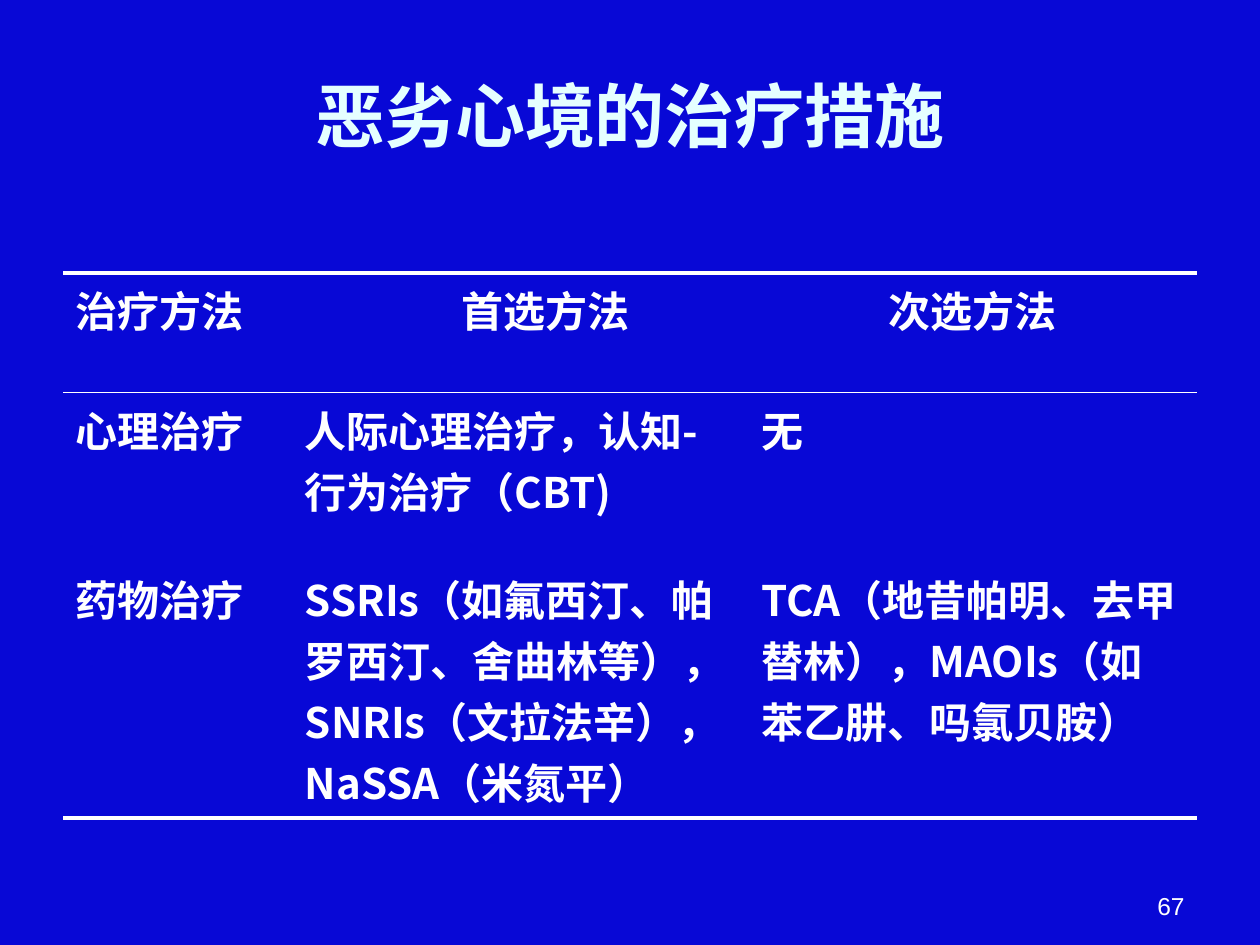
from dataclasses import dataclass

from lxml import etree
from pptx import Presentation
from pptx.dml.color import RGBColor
from pptx.enum.text import MSO_ANCHOR, PP_ALIGN
from pptx.oxml.ns import qn
from pptx.util import Pt

LEFT, CENTER, RIGHT = PP_ALIGN.LEFT, PP_ALIGN.CENTER, PP_ALIGN.RIGHT
MIDDLE, BOTTOM = MSO_ANCHOR.MIDDLE, MSO_ANCHOR.BOTTOM
TITLE_ONLY = 5


@dataclass(frozen=True)
class Theme:
    background: str = "0808D6"
    title: str = "E5FFFF"
    text: str = "FFFFFF"
    body_font: str = "Noto Sans CJK SC"
    number_font: str = "Arial"
    title_size: int = 40
    table_size: int = 24
    number_size: int = 14
    thick: float = 2.25
    thin: float = 1


THEME = Theme()
TITLE = "恶劣心境的治疗措施"
PAGE_NUMBER = "67"
ROWS = [
    ("治疗方法", "首选方法", "次选方法"),
    ("心理治疗", "人际心理治疗，认知-行为治疗（CBT)", "无"),
    (
        "药物治疗",
        "SSRIs（如氟西汀、帕罗西汀、舍曲林等），SNRIs（文拉法辛），NaSSA（米氮平）",
        "TCA（地昔帕明、去甲替林），MAOIs（如苯乙肼、吗氯贝胺）",
    ),
]
TEXT_COLUMNS = [(0, 2, 3), (0, 1, 3), (0, 1, 3)]
MERGES = [(0, 0, 1), (1, 1, 2), (2, 1, 2)]
COLUMN_WIDTHS = [131, 28, 233, 256]
ROW_HEIGHTS = [68.4, 96.5, 122.4]
ROW_RULES = [(THEME.thick, THEME.thin), (THEME.thin, 0), (0, THEME.thick)]
MARGIN = 36
CONTENT_WIDTH = sum(COLUMN_WIDTHS)
TABLE_TOP = 156


def write(frame, text, font_name, size, color, bold, alignment):
    paragraph = frame.paragraphs[0]
    paragraph.text = text
    paragraph.alignment = alignment
    font = paragraph.font
    font.name, font.size, font.bold = font_name, Pt(size), bold
    font.color.rgb = RGBColor.from_string(color)
    properties = paragraph._p.pPr.find(qn("a:defRPr"))
    etree.SubElement(properties, qn("a:ea"), typeface=font_name)
    return paragraph


def set_borders(cell, top, bottom):
    properties = cell._tc.get_or_add_tcPr()
    edges = [("a:lnL", 0), ("a:lnR", 0), ("a:lnT", top), ("a:lnB", bottom)]
    for index, (tag, width) in enumerate(edges):
        line = etree.Element(qn(tag), w=str(Pt(width)))
        if width:
            fill = etree.SubElement(line, qn("a:solidFill"))
            etree.SubElement(fill, qn("a:srgbClr"), val=THEME.text)
        else:
            etree.SubElement(line, qn("a:noFill"))
        properties.insert(index, line)


def add_title(slide):
    title = slide.shapes.title
    title.left, title.top = Pt(MARGIN), Pt(11.5)
    title.width, title.height = Pt(CONTENT_WIDTH), Pt(108)
    title.text_frame.vertical_anchor = MIDDLE
    write(title.text_frame, TITLE, THEME.body_font, THEME.title_size,
          THEME.title, True, CENTER)


def add_treatment_table(slide):
    table = slide.shapes.add_table(
        len(ROWS), len(COLUMN_WIDTHS), Pt(MARGIN), Pt(TABLE_TOP),
        Pt(CONTENT_WIDTH), Pt(sum(ROW_HEIGHTS))).table
    table.first_row = table.horz_banding = False
    for column, width in zip(table.columns, COLUMN_WIDTHS):
        column.width = Pt(width)
    for row, height, rules in zip(table.rows, ROW_HEIGHTS, ROW_RULES):
        row.height = Pt(height)
        for cell in row.cells:
            cell.fill.background()
            set_borders(cell, *rules)
    for row, first, last in MERGES:
        table.cell(row, first).merge(table.cell(row, last))
    for row, (texts, columns) in enumerate(zip(ROWS, TEXT_COLUMNS)):
        for column, text in zip(columns, texts):
            alignment = CENTER if row == 0 and column > 0 else LEFT
            paragraph = write(table.cell(row, column).text_frame, text,
                              THEME.body_font, THEME.table_size,
                              THEME.text, True, alignment)
            spacing = etree.Element(qn("a:spcBef"))
            etree.SubElement(spacing, qn("a:spcPct"), val="20000")
            paragraph._p.pPr.insert(0, spacing)


def add_page_number(slide):
    box = slide.shapes.add_textbox(Pt(516), Pt(492), Pt(168), Pt(37.5))
    box.text_frame.word_wrap = True
    box.text_frame.vertical_anchor = BOTTOM
    write(box.text_frame, PAGE_NUMBER, THEME.number_font, THEME.number_size,
          THEME.text, False, RIGHT)


def main():
    presentation = Presentation()
    presentation.slide_width, presentation.slide_height = Pt(720), Pt(540)
    slide = presentation.slides.add_slide(presentation.slide_layouts[TITLE_ONLY])
    slide.background.fill.solid()
    slide.background.fill.fore_color.rgb = RGBColor.from_string(THEME.background)
    add_title(slide)
    add_treatment_table(slide)
    add_page_number(slide)
    presentation.save("out.pptx")


if __name__ == "__main__":
    main()
